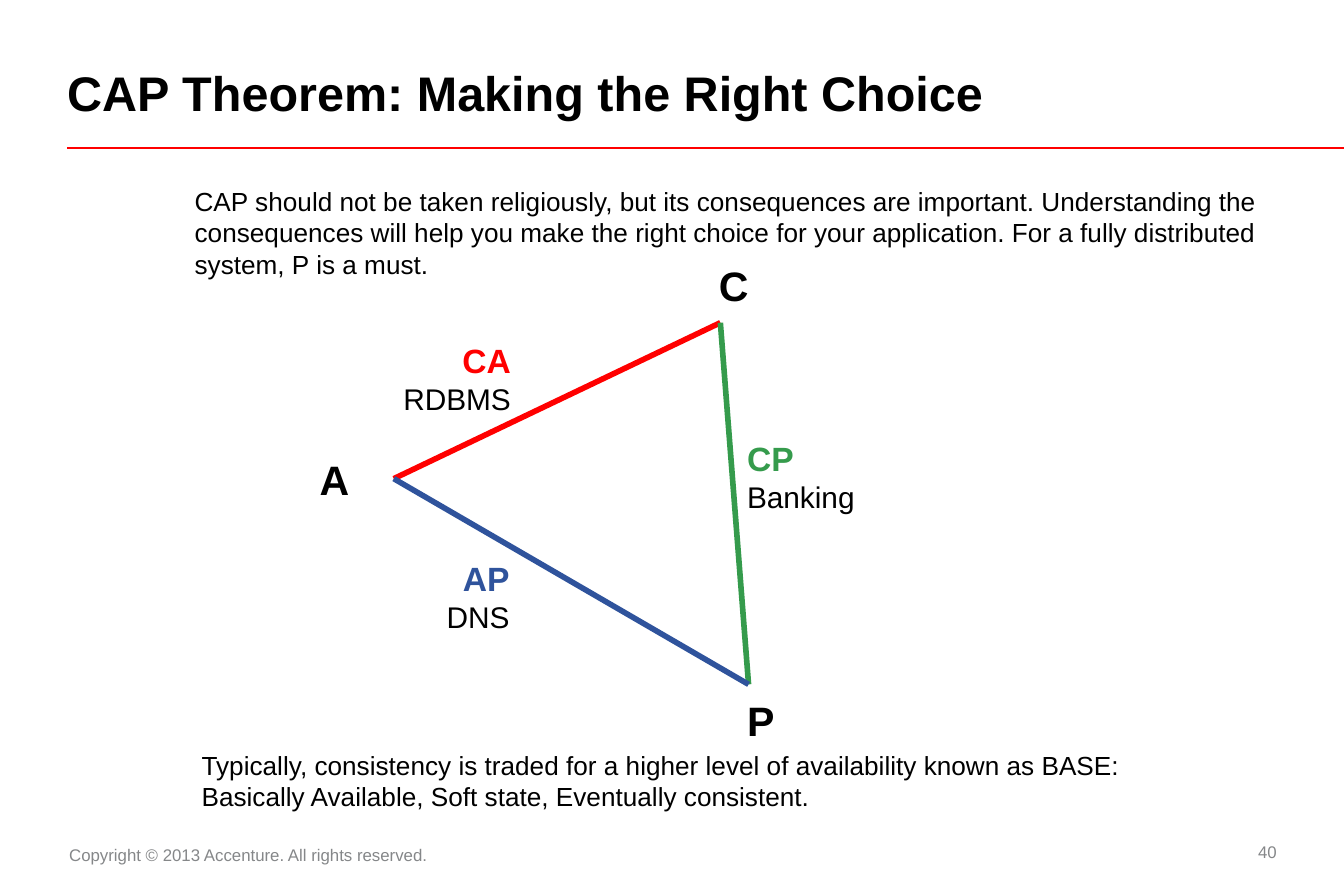
from dataclasses import dataclass

from pptx import Presentation
from pptx.dml.color import RGBColor
from pptx.enum.shapes import MSO_CONNECTOR
from pptx.enum.text import MSO_ANCHOR, PP_ALIGN
from pptx.oxml.ns import qn
from pptx.util import Inches, Pt

CELL = 0.1  # inches: the slide is a grid of 100 columns by 65 rows
COLUMNS, ROWS = 100, 65
FLUSH = (0, 0, 0, 0)
PADDED = (1, 0.5, 1, 0.5)


@dataclass(frozen=True)
class Theme:
    font: str = "Arial"
    ink: str = "000000"
    muted: str = "858789"
    red: str = "FF0000"
    green: str = "359B4C"
    blue: str = "2F539C"
    title: int = 26
    corner: int = 22
    edge: int = 18
    example: int = 16
    body: int = 14
    footer: int = 9
    rule: int = 1
    side: int = 3


@dataclass(frozen=True)
class Box:
    col: float
    row: float
    cols: float
    rows: float

    def inner(self, col, row, cols, rows):
        return Box(self.col + col, self.row + row, cols, rows)

    def point(self, col, row):
        return grid(self.col + col), grid(self.row + row)


THEME = Theme()


def grid(cells):
    return Inches(cells * CELL)


def add_text(slide, box, lines, align=PP_ALIGN.LEFT, anchor=MSO_ANCHOR.TOP,
             insets=PADDED, wrap=True, spacing=None):
    """Each line is (text, size, colour, bold)."""
    frame = slide.shapes.add_textbox(
        *map(grid, (box.col, box.row, box.cols, box.rows))).text_frame
    frame.word_wrap = wrap
    frame.vertical_anchor = anchor
    (frame.margin_left, frame.margin_top,
     frame.margin_right, frame.margin_bottom) = map(grid, insets)
    frame.text = "\n".join(line[0] for line in lines)
    for paragraph, (_, size, colour, bold) in zip(frame.paragraphs, lines):
        paragraph.alignment = align
        if spacing:
            paragraph.line_spacing = Pt(spacing)
        font = paragraph.runs[0].font
        font.name, font.size, font.bold = THEME.font, Pt(size), bold
        font.color.rgb = RGBColor.from_string(colour)


def add_line(slide, start, end, colour, width):
    line = slide.shapes.add_connector(MSO_CONNECTOR.STRAIGHT, *start, *end)
    line.line.color.rgb = RGBColor.from_string(colour)
    line.line.width = Pt(width)
    properties = line._element.spPr
    properties.append(properties.makeelement(qn("a:effectLst"), {}))


def add_header(slide, box, title):
    add_line(slide, box.point(0, box.rows), box.point(box.cols, box.rows),
             THEME.red, THEME.rule)
    add_text(slide, box.inner(0, 1.6, 89.7, 7.4),
             [(title, THEME.title, THEME.ink, True)],
             anchor=MSO_ANCHOR.BOTTOM, insets=FLUSH, spacing=THEME.title)


def add_statement(slide, box, text, insets):
    add_text(slide, box, [(text, THEME.body, THEME.ink, False)], insets=insets)


def add_triangle(slide, box):
    # Corner letters
    for letter, col, row in (("C", 29.7, 0), ("A", 0, 14.4), ("P", 31.8, 32.3)):
        add_text(slide, box.inner(col, row, 4.2, 4.7),
                 [(letter, THEME.corner, THEME.ink, True)], wrap=False)

    # Side names, each with an example system
    sides = (
        ("CP", "Banking", THEME.green, (31.8, 13.2, 23.1, 6.7), PP_ALIGN.LEFT),
        ("AP", "DNS", THEME.blue, (7.2, 22.1, 8.9, 6.7), PP_ALIGN.RIGHT),
        ("CA", "RDBMS", THEME.red, (4.7, 5.9, 11.5, 6.7), PP_ALIGN.RIGHT),
    )
    for name, example, colour, place, align in sides:
        add_text(slide, box.inner(*place),
                 [(name, THEME.edge, colour, True),
                  (example, THEME.example, THEME.ink, False)], align=align)

    # Sides, each joining the two corners in its name
    corners = {"A": box.point(6.5, 16.7), "C": box.point(30.8, 5.1),
               "P": box.point(32.9, 32)}
    for start, end, colour in (("A", "C", THEME.red), ("C", "P", THEME.green),
                               ("A", "P", THEME.blue)):
        add_line(slide, corners[start], corners[end], colour, THEME.side)


def add_footer(slide, box, copyright_line, number):
    add_text(slide, box.inner(0, 0.1, 28.1, 2.5),
             [(copyright_line, THEME.footer, THEME.muted, False)],
             align=PP_ALIGN.CENTER, insets=(0, 0.5, 1, 0.5))
    add_text(slide, box.inner(box.cols - 5.9, 0, 5.9, 2.3),
             [(number, THEME.footer, THEME.muted, False)],
             align=PP_ALIGN.RIGHT, anchor=MSO_ANCHOR.MIDDLE, insets=FLUSH)


def main():
    deck = Presentation()
    deck.slide_width, deck.slide_height = grid(COLUMNS), grid(ROWS)
    slide = deck.slides.add_slide(deck.slide_layouts[6])

    add_header(slide, Box(5, 0, 95, 11), "CAP Theorem: Making the Right Choice")
    add_footer(slide, Box(4.9, 62.2, 90.1, 2.6),
               "Copyright © 2013 Accenture. All rights reserved.", "40")
    add_statement(
        slide, Box(15, 55.7, 73.8, 7.7),
        "Typically, consistency is traded for a higher level of availability "
        "known as BASE: Basically Available, Soft state, Eventually consistent.",
        FLUSH)
    add_statement(
        slide, Box(13.5, 13.3, 82.6, 8.1),
        "CAP should not be taken religiously, but its consequences are "
        "important. Understanding the consequences will help you make the right "
        "choice for your application. For a fully distributed system, P is a "
        "must.", PADDED)
    add_triangle(slide, Box(22.8, 18.9, 54.9, 37))

    deck.save("out.pptx")


if __name__ == "__main__":
    main()
